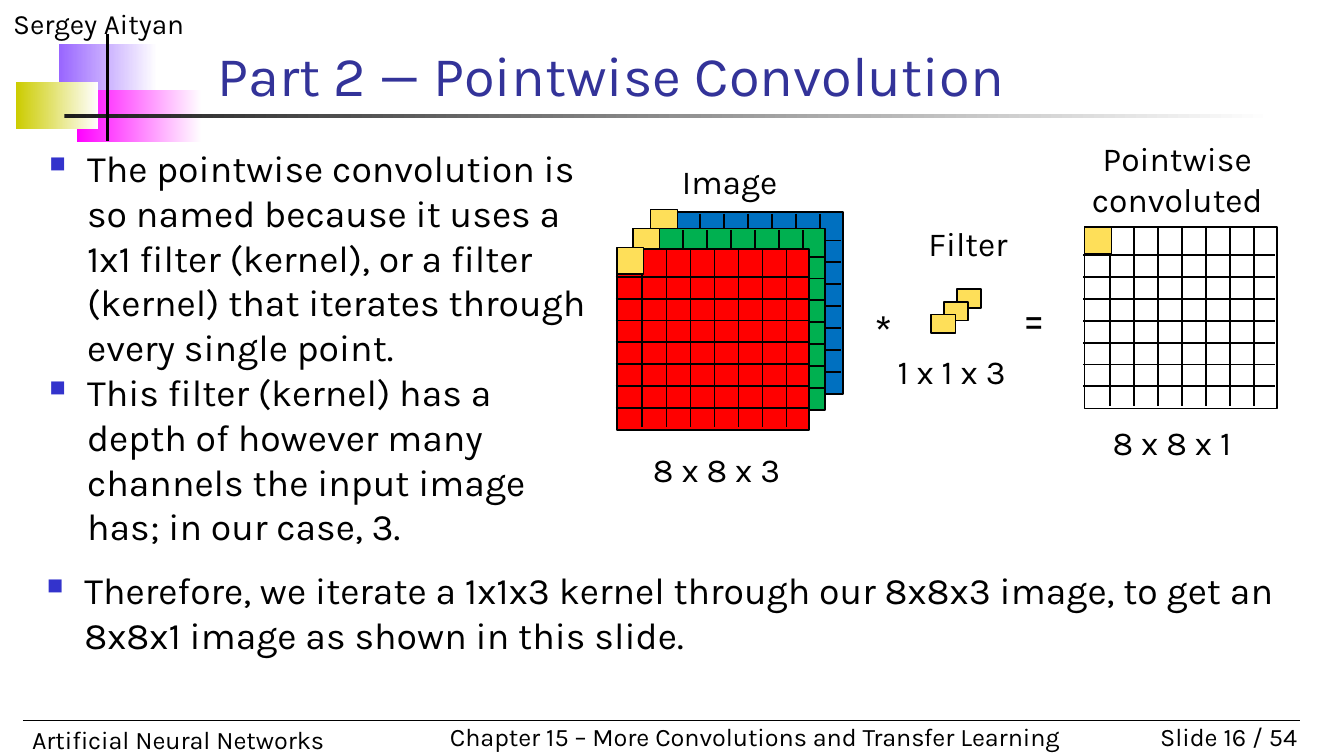
import dataclasses

import pptx
import pptx.dml.color
import pptx.enum.shapes
import pptx.enum.text
import pptx.oxml
import pptx.oxml.ns
import pptx.util

Inches = pptx.util.Inches
Align = pptx.enum.text.PP_ALIGN


@dataclasses.dataclass(frozen=True)
class Theme:
    """Colours, font and type sizes of the slide."""
    font: str = "Karla"
    ink: str = "000000"
    paper: str = "FFFFFF"
    title: str = "333399"
    bullet: str = "3333CC"
    violet: str = "9966FF"
    magenta: str = "FF00FF"
    olive: str = "CCCC00"
    rule: str = "1C1C1C"
    kernel: str = "FEDF59"
    red: str = "FF0000"
    green: str = "00B050"
    blue: str = "0070C0"
    title_size: float = 30
    operator_size: float = 24
    body_size: float = 20
    label_size: float = 18
    author_size: float = 15
    footer_size: float = 13.5


THEME = Theme()
SLIDE_WIDTH = 10
SLIDE_HEIGHT = SLIDE_WIDTH * 9 / 16
GRID_WIDTH, GRID_HEIGHT, GRID_COUNT = 1.43, 1.35, 8


def rgb(value):
    """Turn a hex string into a colour."""
    return pptx.dml.color.RGBColor.from_string(value)


def add_text(slide, box, paragraphs, size, color=THEME.ink, align=Align.LEFT, wrap=True):
    """Place paragraphs of text in a box and return the text frame."""
    frame = slide.shapes.add_textbox(*map(Inches, box)).text_frame
    frame.word_wrap = wrap
    frame.text = "\n".join(paragraphs)
    for paragraph in frame.paragraphs:
        paragraph.alignment = align
        font = paragraph.runs[0].font
        font.name = THEME.font
        font.size = pptx.util.Pt(size)
        font.color.rgb = rgb(color)
    return frame


def add_rectangle(slide, box, color):
    """Place a plain filled rectangle without shadow."""
    rectangle = slide.shapes.add_shape(
        pptx.enum.shapes.MSO_SHAPE.RECTANGLE, *map(Inches, box))
    rectangle.shadow.inherit = False
    rectangle.fill.solid()
    rectangle.fill.fore_color.rgb = rgb(color)
    return rectangle


def add_cell(slide, box, color, weight=1):
    """Place a filled rectangle with a dark outline."""
    outline = add_rectangle(slide, box, color).line
    outline.color.rgb = rgb(THEME.ink)
    outline.width = pptx.util.Pt(weight)


def add_fade(slide, box, color):
    """Place a rectangle that fades to the paper colour."""
    fade = add_rectangle(slide, box, color)
    fade.line.fill.background()
    fade.fill.gradient()
    fade.fill.gradient_angle = 0
    for stop, shade, position in zip(fade.fill.gradient_stops, (color, THEME.paper), (0, 1)):
        stop.color.rgb = rgb(shade)
        stop.position = position


def add_line(slide, start, end, weight=1):
    """Draw a straight dark line without shadow."""
    line = slide.shapes.add_connector(
        pptx.enum.shapes.MSO_CONNECTOR.STRAIGHT, *map(Inches, (*start, *end)))
    line.line.color.rgb = rgb(THEME.ink)
    line.line.width = pptx.util.Pt(weight)
    properties = line._element.spPr
    properties.append(properties.makeelement(pptx.oxml.ns.qn("a:effectLst"), {}))


def add_header(slide, left, top):
    """Draw the colour blocks, rules, author and title."""
    add_fade(slide, (left + 0.44, top + 0.33, 0.73, 0.39), THEME.violet)
    add_fade(slide, (left + 0.57, top + 0.67, 0.93, 0.39), THEME.magenta)
    add_fade(slide, (left + 0.12, top + 0.61, 0.61, 0.35), THEME.olive)
    add_fade(slide, (left + 0.48, top + 0.85, 9, 0.03), THEME.rule)
    add_text(slide, (left, top, 2.5, 0.35), ["Sergey Aityan"], THEME.author_size)
    add_line(slide, (left + 0.8, top + 0.25), (left + 0.8, top + 1.05), 2)
    title = add_text(slide, (left + 1.52, top + 0.31, 7.35, 0.54),
                     ["Part 2 — Pointwise Convolution"], THEME.title_size, THEME.title)
    title.vertical_anchor = pptx.enum.text.MSO_ANCHOR.BOTTOM


def add_footer(slide, left, top):
    """Draw the footer rule with course, chapter and slide number."""
    size = THEME.footer_size
    add_line(slide, (left + 0.03, top + 0.04), (left + 9.53, top + 0.04), 0.75)
    add_text(slide, (left, top + 0.02, 3.7, 0.33), ["Artificial Neural Networks"], size)
    add_text(slide, (left + 3.11, top, 4.77, 0.33),
             ["Chapter 15 – More Convolutions and Transfer Learning"], size, wrap=False)
    add_text(slide, (left + 8.11, top, 1.5, 0.33), ["Slide 16 / 54"], size, align=Align.RIGHT)


def add_bullets(slide, box, items):
    """Place a list with square bullets."""
    frame = add_text(slide, box, items, THEME.body_size)
    indent = Inches(0.28)
    namespace = pptx.oxml.ns.nsdecls("a")
    for paragraph in frame.paragraphs:
        properties = paragraph._p.get_or_add_pPr()
        properties.set("marL", str(indent))
        properties.set("indent", str(-indent))
        for xml in (
            f'<a:buClr {namespace}><a:srgbClr val="{THEME.bullet}"/></a:buClr>',
            f'<a:buSzPct {namespace} val="60000"/>',
            f'<a:buChar {namespace} char="■"/>',
        ):
            properties.append(pptx.oxml.parse_xml(xml))


def add_grid(slide, left, top, color, kernel_rise=0):
    """Draw an 8 by 8 pixel grid with its first pixel highlighted."""
    add_cell(slide, (left, top, GRID_WIDTH, GRID_HEIGHT), color)
    for index in range(GRID_COUNT - 1):
        x = left + 0.19 + index * GRID_WIDTH / GRID_COUNT
        y = top + 0.21 + index * 1.3 / GRID_COUNT
        add_line(slide, (x, top + 0.01), (x, top + 1.33))
        add_line(slide, (left - 0.01, y), (left + GRID_WIDTH - 0.01, y))
    add_cell(slide, (left, top - kernel_rise, 0.2, 0.2), THEME.kernel, 0.75)


def add_image(slide, left, top):
    """Draw the three stacked channels of the input image."""
    size = THEME.label_size
    add_text(slide, (left + 0.06, top, 1.56, 0.4), ["Image"], size, align=Align.CENTER)
    add_text(slide, (left + 0.17, top + 2.14, 1.22, 0.4), ["8 x 8 x 3"], size)
    add_grid(slide, left + 0.25, top + 0.43, THEME.blue, 0.02)
    add_grid(slide, left + 0.12, top + 0.55, THEME.green)
    add_grid(slide, left, top + 0.7, THEME.red, 0.01)


def add_filter(slide, left, top):
    """Draw the 1x1x3 kernel between its operators."""
    add_text(slide, (left, top + 0.59, 0.44, 0.5), ["*"], THEME.operator_size)
    add_text(slide, (left + 1.1, top + 0.5, 0.44, 0.5), ["="], THEME.operator_size)
    add_text(slide, (left + 0.17, top + 0.95, 1.21, 0.4), ["1 x 1 x 3"], THEME.label_size)
    add_text(slide, (left + 0.4, top, 0.79, 0.4), ["Filter"], THEME.label_size)
    for layer in range(3):
        offset = layer * 0.19 / 2
        add_cell(slide, (left + 0.71 - offset, top + 0.54 + offset, 0.18, 0.14), THEME.kernel)


def add_result(slide, left, top):
    """Draw the single-channel output."""
    size = THEME.label_size
    add_text(slide, (left - 0.09, top, 1.56, 0.7), ["Pointwise convoluted"], size,
             align=Align.CENTER)
    add_text(slide, (left + 0.11, top + 2.11, 1.22, 0.4), ["8 x 8 x 1"], size)
    add_grid(slide, left, top + 0.71, THEME.paper)


def main():
    """Build the slide and save it."""
    deck = pptx.Presentation()
    deck.slide_width, deck.slide_height = Inches(SLIDE_WIDTH), Inches(SLIDE_HEIGHT)
    slide = deck.slides.add_slide(deck.slide_layouts[6])
    add_header(slide, 0, 0)
    add_footer(slide, 0.14, 5.32)
    add_bullets(slide, (0.27, 1.03, 4.2, 2.55), [
        "The pointwise convolution is so named because it uses a 1x1 filter (kernel), "
        "or a filter (kernel) that iterates through every single point.",
        "This filter (kernel) has a depth of however many channels the input image has; "
        "in our case, 3.",
    ])
    add_bullets(slide, (0.25, 4.17, 9.5, 1.01), [
        "Therefore, we iterate a 1x1x3 kernel through our 8x8x3 image, "
        "to get an 8x8x1 image as shown in this slide.",
    ])
    add_filter(slide, 6.41, 1.61)
    add_image(slide, 4.59, 1.15)
    add_result(slide, 8.07, 0.98)
    deck.save("out.pptx")


if __name__ == "__main__":
    main()
